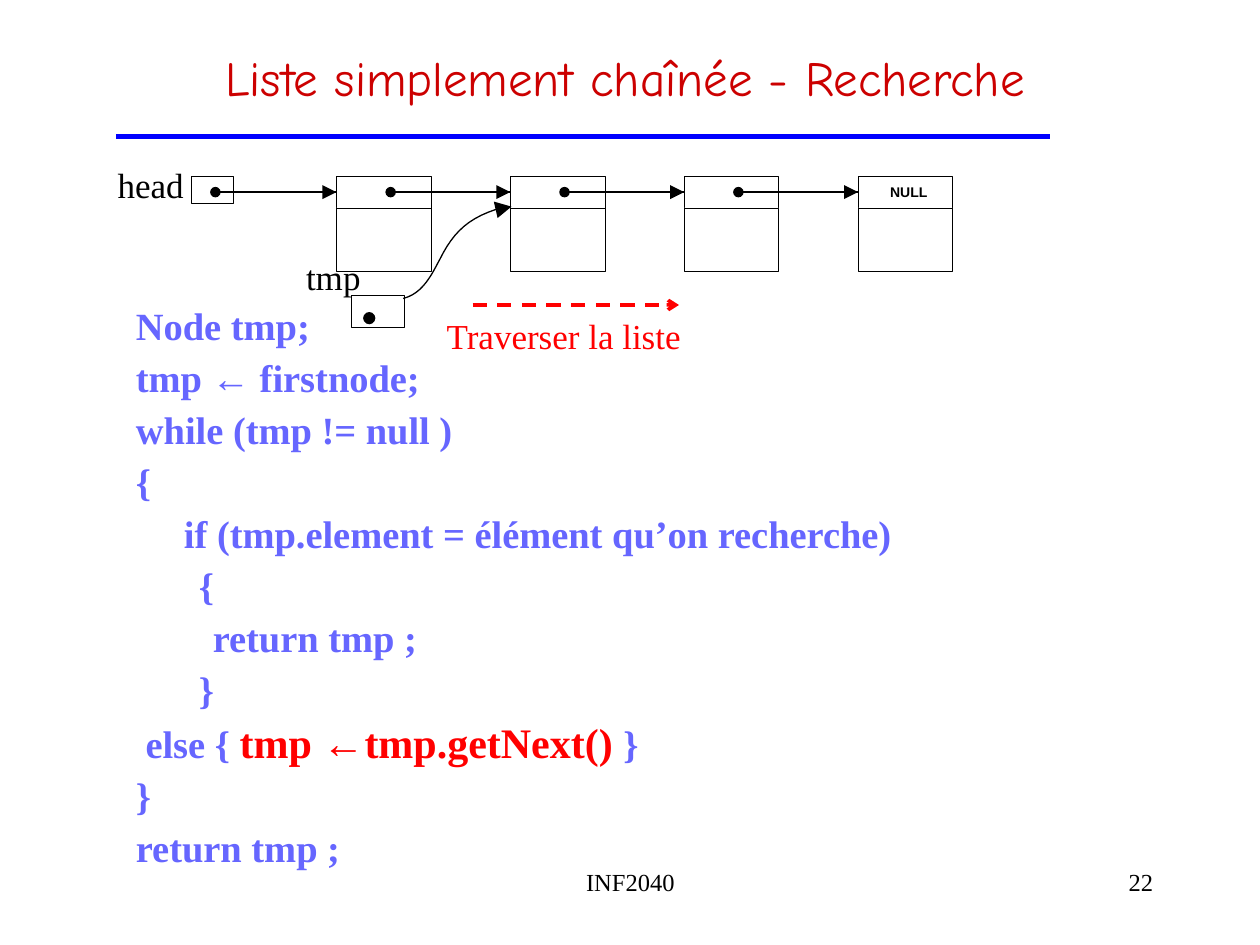
import pptx
import pptx.dml.color
import pptx.enum.dml
import pptx.enum.shapes
import pptx.enum.text
import pptx.oxml
import pptx.oxml.ns
import pptx.util

Pt = pptx.util.Pt
RGB = pptx.dml.color.RGBColor
SHAPE = pptx.enum.shapes.MSO_SHAPE
ALIGN = pptx.enum.text.PP_ALIGN

BLACK = RGB(0, 0, 0)
WHITE = RGB(255, 255, 255)
RED = RGB(255, 0, 0)
TITLE_RED = RGB(0xCC, 0, 0)
BLUE = RGB(0, 0, 255)
CODE_BLUE = RGB(0x66, 0x66, 0xFF)
SERIF, SANS, COMIC = "Times New Roman", "Arial", "Comic Neue"

# Content: each code line is a string or a list of (text, format) runs
TITLE = "Liste simplement chaînée - Recherche"
STEP = dict(size=24, color=RED)
CODE = [
    "Node tmp;",
    [("tmp ", {}), ("←", dict(font=SANS)), (" firstnode;", {})],
    "while (tmp != null )",
    "{",
    "     if (tmp.element = élément qu’on recherche)",
    "\t{",
    "        return tmp ;",
    "\t}",
    [(" else { ", {}), ("tmp ", STEP), ("←", dict(STEP, font=SANS)),
     ("tmp.getNext() ", STEP), ("}", {})],
    "}",
    "return tmp ;",
]
LABELS = [  # text, box, format
    ("head", (66.1, 93.6, 40, 24), {}),
    ("tmp", (172.5, 146.2, 36, 24), {}),
    ("Traverser la liste", (252.2, 179.6, 140, 24), dict(color=RED)),
    ("NULL", (507.3, 104.8, 24, 9.4), dict(size=8, font=SANS, bold=True)),
]
FOOTERS = [
    ("INF2040", (246.2, 491.8, 228.2, 36), ALIGN.CENTER),
    ("22", (516.2, 491.8, 149.8, 36), ALIGN.RIGHT),
]

# Geometry of the linked list
NODE_COUNT, NODE_LEFT, NODE_TOP, NODE_PITCH = 4, 192.24, 100.8, 99.36
NODE_WIDTH, LINK_HEIGHT, DATA_HEIGHT = 54, 18, 36
LINK_Y = NODE_TOP + LINK_HEIGHT / 2
DOT_OFFSET, HEAD_DOT_X, ARROW = 31, 123.1, 8
TMP_CURVES = [
    ((230.4, 170.6), (241.9, 167.8), (247, 156.2), (251.3, 148.3)),
    ((251.3, 148.3), (259.2, 132.5), (267.8, 123.8), (288.7, 118.1)),
]
TMP_ARROW = [(284.4, 124.6), (292.3, 118.1), (282.2, 115.2)]
UNITS_PER_POINT = 100  # precision of freeform outlines

prs = pptx.Presentation()
prs.slide_width, prs.slide_height = Pt(720), Pt(540)
slide = prs.slides.add_slide(prs.slide_layouts[6])
shapes = slide.shapes


def add_text(paragraphs, box, size=20, font=SERIF, color=BLACK, bold=False,
             align=ALIGN.LEFT, inset=(7.2, 3.6), wrap=True, spacing=None,
             before=0, hanging=0):
    frame = shapes.add_textbox(*map(Pt, box)).text_frame
    frame.word_wrap = wrap
    frame.margin_left = frame.margin_right = Pt(inset[0])
    frame.margin_top = frame.margin_bottom = Pt(inset[1])
    for index, runs in enumerate(paragraphs):
        paragraph = frame.add_paragraph() if index else frame.paragraphs[0]
        paragraph.alignment = align
        if spacing:
            paragraph.line_spacing = spacing
        if index and before:
            paragraph.space_before = Pt(before)
        if hanging:
            properties = paragraph._p.get_or_add_pPr()
            properties.set("marL", str(Pt(hanging)))
            properties.set("indent", str(Pt(-hanging)))
        for text, changes in [(runs, {})] if isinstance(runs, str) else runs:
            run = paragraph.add_run()
            run.text = text
            run.font.size = Pt(changes.get("size", size))
            run.font.name = changes.get("font", font)
            run.font.bold = bold
            run.font.color.rgb = changes.get("color", color)


def style(shape, fill=None, line=None):
    shape.shadow.inherit = False
    if fill is None:
        shape.fill.background()
    else:
        shape.fill.solid()
        shape.fill.fore_color.rgb = fill
    if line is None:
        shape.line.fill.background()
    else:
        shape.line.color.rgb = BLACK
        shape.line.width = Pt(line)
    return shape


def add_cell(*box):
    return style(shapes.add_shape(SHAPE.RECTANGLE, *map(Pt, box)), WHITE, 0.25)


def add_dot(x, y, size):
    box = (x - size / 2, y - size / 2, size, size)
    return style(shapes.add_shape(SHAPE.OVAL, *map(Pt, box)), BLACK)


def add_path(points, close, **look):
    start, *rest = [(x * UNITS_PER_POINT, y * UNITS_PER_POINT)
                    for x, y in points]
    builder = shapes.build_freeform(*start, scale=Pt(1) / UNITS_PER_POINT)
    builder.add_line_segments(rest, close=close)
    return style(builder.convert_to_shape(), **look)


def add_line(start, end, color=BLACK, width=0.75):
    line = shapes.add_connector(pptx.enum.shapes.MSO_CONNECTOR.STRAIGHT,
                                *map(Pt, start + end))
    line.line.color.rgb = color
    line.line.width = Pt(width)
    line._element.spPr.append(pptx.oxml.parse_xml(
        "<a:effectLst %s/>" % pptx.oxml.ns.nsdecls("a")))
    return line


def bezier(p0, p1, p2, p3, steps=12):
    for step in range(steps + 1):
        t = step / steps
        u = 1 - t
        yield tuple(u**3 * a + 3 * u * u * t * b + 3 * u * t * t * c + t**3 * d
                    for a, b, c, d in zip(p0, p1, p2, p3))


# Title and rule
add_text([TITLE], (23.8, 23.8, 666.7, 59), size=28, font=COMIC,
         color=TITLE_RED, align=ALIGN.CENTER)
add_line((66.2, 78), (600, 78), BLUE, 3.25)

# Nodes and reference cells
lefts = [NODE_LEFT + NODE_PITCH * i for i in range(NODE_COUNT)]
links = []
for left in lefts:
    links.append(add_cell(left, NODE_TOP, NODE_WIDTH, LINK_HEIGHT))
    add_cell(left, NODE_TOP + LINK_HEIGHT, NODE_WIDTH, DATA_HEIGHT)
add_cell(109.4, NODE_TOP, 23.8, 15.1)
add_cell(200.9, 168.5, 30.2, 18.7)

# Links from each dot to the next node
dot_xs = [HEAD_DOT_X] + [left + DOT_OFFSET for left in lefts[:-1]]
for dot_x, left, link in zip(dot_xs, lefts, links):
    add_line((dot_x, LINK_Y), (left, LINK_Y)).end_connect(link, 1)
    add_dot(dot_x, LINK_Y, 6)
    add_path([(left - ARROW, LINK_Y - ARROW / 2), (left, LINK_Y),
              (left - ARROW, LINK_Y + ARROW / 2)], True, fill=BLACK)

# Curved link from tmp
add_dot(211, 181.8, 7)
add_path([point for curve in TMP_CURVES for point in bezier(*curve)],
         False, line=0.75)
add_path(TMP_ARROW, True, fill=BLACK)

# Direction of traversal
traversal = add_line((270, 174.3), (388, 174.3), RED, 2)
traversal.line.dash_style = pptx.enum.dml.MSO_LINE.DASH
traversal.line._get_or_add_ln().append(pptx.oxml.parse_xml(
    '<a:tailEnd %s type="arrow"/>' % pptx.oxml.ns.nsdecls("a")))

# Labels, code and footers
for text, box, look in LABELS:
    add_text([text], box, align=ALIGN.CENTER, inset=(0, 0), wrap=False, **look)
add_text(CODE, (70.6, 178.6, 532.8, 320.4), size=22, color=CODE_BLUE,
         bold=True, spacing=0.6, before=13.8, hanging=36)
for text, box, align in FOOTERS:
    add_text([text], box, size=14, align=align)

prs.save("out.pptx")
